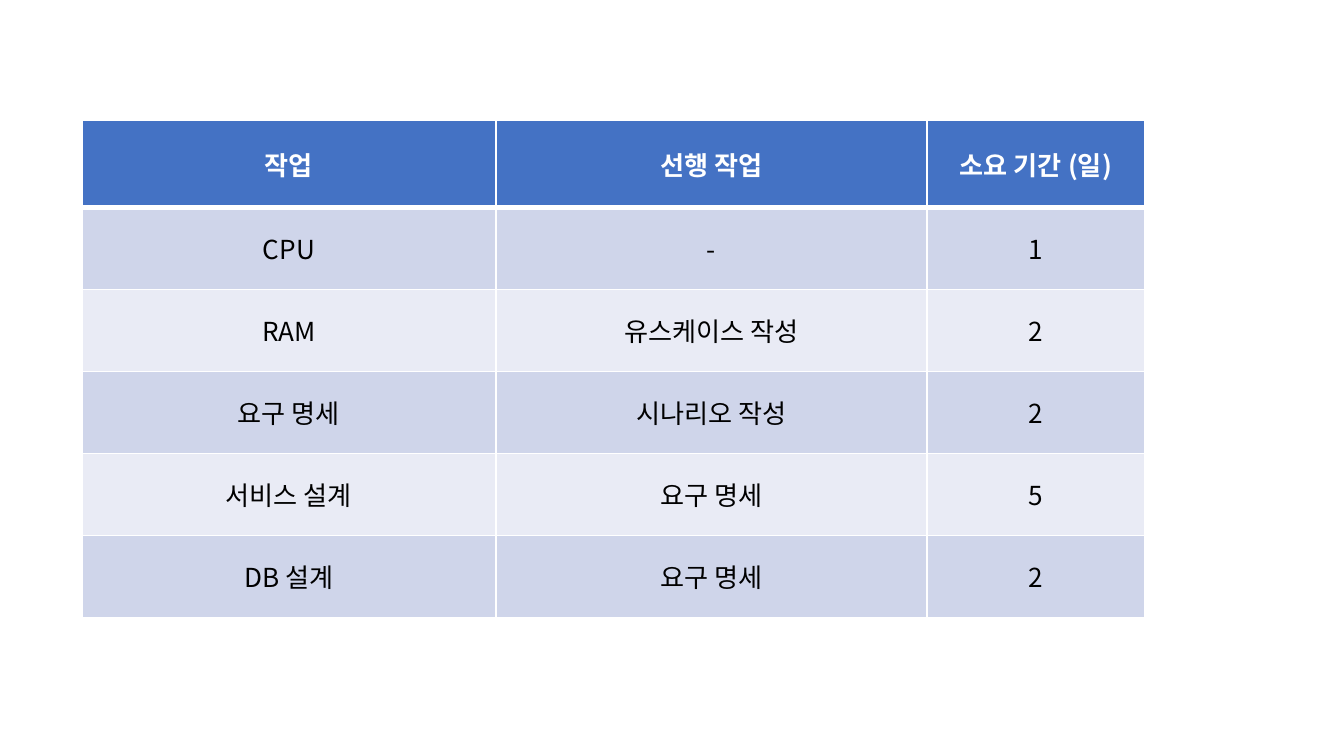
from dataclasses import dataclass

from lxml import etree
from pptx import Presentation
from pptx.dml.color import RGBColor
from pptx.enum.text import MSO_ANCHOR, PP_ALIGN
from pptx.oxml.ns import qn
from pptx.table import _Cell
from pptx.util import Cm, Pt

CENTER = PP_ALIGN.CENTER
MIDDLE = MSO_ANCHOR.MIDDLE
BLANK_LAYOUT = 6
FONT = "Noto Sans CJK KR"
COLORS = {
    "header": "4472C4",
    "odd": "CFD5EA",
    "even": "E9EBF5",
    "border": "FFFFFF",
    "header_text": "FFFFFF",
    "text": "000000",
}
COLUMN_WIDTHS = (7.82, 8.15, 4.11)
HEADER_HEIGHT, TASK_HEIGHT = 1.65, 1.55
THIN, THICK = 1, 3


@dataclass(frozen=True)
class Task:
    """One row of the schedule."""

    name: str
    predecessor: str
    days: str


@dataclass(frozen=True)
class RowStyle:
    """Look of one row; borders are widths in points."""

    fill: str
    text: str
    bold: bool = False
    top: int = THIN
    bottom: int = THIN


HEADINGS = Task("작업", "선행 작업", "소요 기간 (일)")
TASKS = (
    Task("CPU", "-", "1"),
    Task("RAM", "유스케이스 작성", "2"),
    Task("요구 명세", "시나리오 작성", "2"),
    Task("서비스 설계", "요구 명세", "5"),
    Task("DB 설계", "요구 명세", "2"),
)


def row_style(index: int) -> RowStyle:
    """Return the header style or the banded style of a task row."""
    if index == 0:
        return RowStyle("header", "header_text", bold=True, bottom=THICK)
    band = "odd" if index % 2 else "even"
    return RowStyle(band, "text", top=THICK if index == 1 else THIN)


def set_borders(cell: _Cell, style: RowStyle) -> None:
    """Draw the four borders of a cell."""
    properties = cell._tc.get_or_add_tcPr()
    widths = {"lnL": THIN, "lnR": THIN, "lnT": style.top, "lnB": style.bottom}
    for side, width in widths.items():
        line = etree.SubElement(properties, qn(f"a:{side}"), w=str(Pt(width)))
        fill = etree.SubElement(line, qn("a:solidFill"))
        etree.SubElement(fill, qn("a:srgbClr"), val=COLORS["border"])


def fill_cell(cell: _Cell, words: str, style: RowStyle) -> None:
    """Format a cell and write its text."""
    set_borders(cell, style)
    cell.fill.solid()
    cell.fill.fore_color.rgb = RGBColor.from_string(COLORS[style.fill])
    cell.vertical_anchor = MIDDLE
    cell.margin_left = cell.margin_right = Cm(0.05)
    cell.margin_top = cell.margin_bottom = Cm(0.03)
    paragraph = cell.text_frame.paragraphs[0]
    paragraph.alignment = CENTER
    run = paragraph.add_run()
    run.text = words
    run.font.size = Pt(14)
    run.font.bold = style.bold
    run.font.color.rgb = RGBColor.from_string(COLORS[style.text])
    run.font.name = FONT
    etree.SubElement(run.font._element, qn("a:ea"), typeface=FONT)


def main() -> None:
    """Build the schedule slide."""
    deck = Presentation()
    deck.slide_width, deck.slide_height = Cm(25.4), Cm(14.29)
    slide = deck.slides.add_slide(deck.slide_layouts[BLANK_LAYOUT])
    rows = (HEADINGS, *TASKS)
    schedule = slide.shapes.add_table(
        len(rows), len(COLUMN_WIDTHS), Cm(1.55), Cm(2.27),
        Cm(sum(COLUMN_WIDTHS)), Cm(HEADER_HEIGHT + TASK_HEIGHT * len(TASKS)),
    ).table
    for column, width in zip(schedule.columns, COLUMN_WIDTHS):
        column.width = Cm(width)
    for index, task in enumerate(rows):
        schedule.rows[index].height = Cm(TASK_HEIGHT if index else HEADER_HEIGHT)
        for column, words in enumerate((task.name, task.predecessor, task.days)):
            fill_cell(schedule.cell(index, column), words, row_style(index))
    deck.save("out.pptx")


main()
